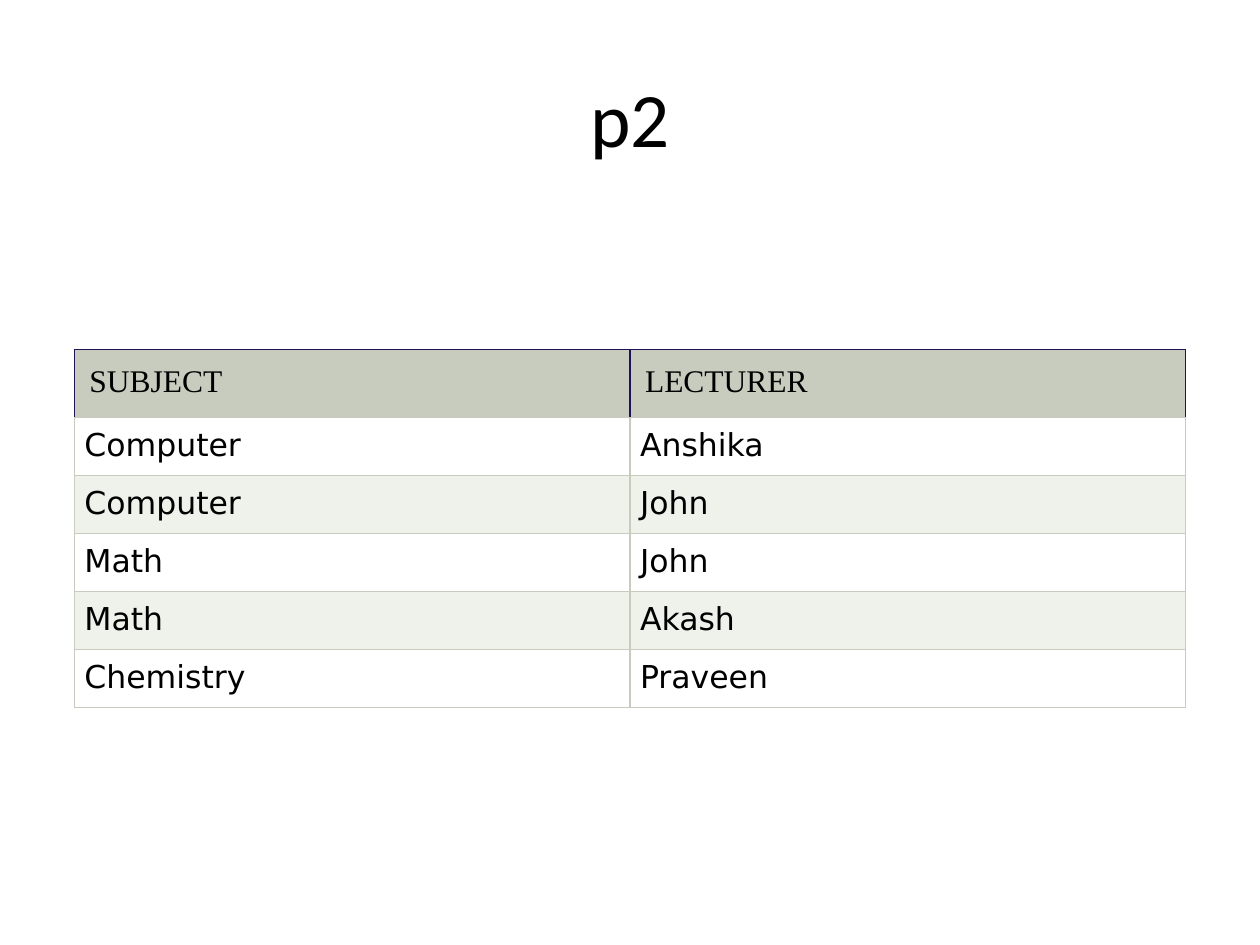
from dataclasses import dataclass

from lxml.etree import SubElement
from pptx import Presentation
from pptx.dml.color import RGBColor
from pptx.enum.text import MSO_ANCHOR, PP_ALIGN
from pptx.oxml.ns import qn
from pptx.util import Inches, Pt

WIDTH, HEIGHT = 10, 7.5
BLACK, WHITE, SAGE, PALE, NAVY = "000000", "FFFFFF", "C7CCBE", "EFF1EB", "201257"
ROWS = [
    ("SUBJECT", "LECTURER"),
    ("Computer", "Anshika"),
    ("Computer", "John"),
    ("Math", "John"),
    ("Math", "Akash"),
    ("Chemistry", "Praveen"),
]


@dataclass(frozen=True)
class RowStyle:
    height: float
    inset: float
    font: str
    fill: str
    edge: str


HEADER = RowStyle(0.53, 0.12, "Times New Roman", SAGE, NAVY)
PLAIN = RowStyle(0.46, 0.08, "DejaVu Sans", WHITE, SAGE)
BANDED = RowStyle(0.46, 0.08, "DejaVu Sans", PALE, SAGE)


def rgb(value: str) -> RGBColor:
    return RGBColor.from_string(value)


def add_run(p, text: str, font: str, size: float) -> None:
    r = p.add_run()
    r.text = text
    r.font.name = font
    r.font.size = Pt(size)
    r.font.bold = False
    r.font.color.rgb = rgb(BLACK)


def set_borders(cell, edge: str) -> None:
    """Draw the left, right and top edges in one colour and the bottom in sage."""
    tc_pr = cell._tc.get_or_add_tcPr()
    for i, (side, color) in enumerate(zip("LRTB", (edge, edge, edge, SAGE))):
        ln = SubElement(tc_pr, qn(f"a:ln{side}"), w=str(Pt(0.75)))
        SubElement(SubElement(ln, qn("a:solidFill")), qn("a:srgbClr"), val=color)
        tc_pr.insert(i, ln)


def fill_cell(cell, text: str, style: RowStyle) -> None:
    cell.margin_left = cell.margin_right = Inches(style.inset)
    cell.margin_top = cell.margin_bottom = Inches(style.inset)
    cell.fill.solid()
    cell.fill.fore_color.rgb = rgb(style.fill)
    set_borders(cell, style.edge)
    add_run(cell.text_frame.paragraphs[0], text, style.font, 18)


def add_title(s, text: str) -> None:
    margin = 0.05 * WIDTH
    sp = s.shapes.add_textbox(Inches(margin), Inches(0.04 * HEIGHT),
                              Inches(WIDTH - 2 * margin), Inches(1.25))
    tf = sp.text_frame
    tf.word_wrap = True
    tf.vertical_anchor = MSO_ANCHOR.MIDDLE
    p = tf.paragraphs[0]
    p.alignment = PP_ALIGN.CENTER
    add_run(p, text, "Calibri", 44)


def add_lecturer_table(s) -> None:
    styles = [HEADER] + [BANDED if i % 2 == 0 else PLAIN for i in range(1, len(ROWS))]
    margin = 0.059 * WIDTH
    table = s.shapes.add_table(
        len(ROWS), len(ROWS[0]), Inches(margin), Inches(0.37 * HEIGHT),
        Inches(WIDTH - 2 * margin), Inches(sum(style.height for style in styles))).table
    for i, (values, style) in enumerate(zip(ROWS, styles)):
        table.rows[i].height = Inches(style.height)
        for j, value in enumerate(values):
            fill_cell(table.cell(i, j), value, style)


def main() -> None:
    prs = Presentation()
    prs.slide_width, prs.slide_height = Inches(WIDTH), Inches(HEIGHT)
    s = prs.slides.add_slide(prs.slide_layouts[6])
    add_title(s, "p2")
    add_lecturer_table(s)
    prs.save("out.pptx")


if __name__ == "__main__":
    main()
